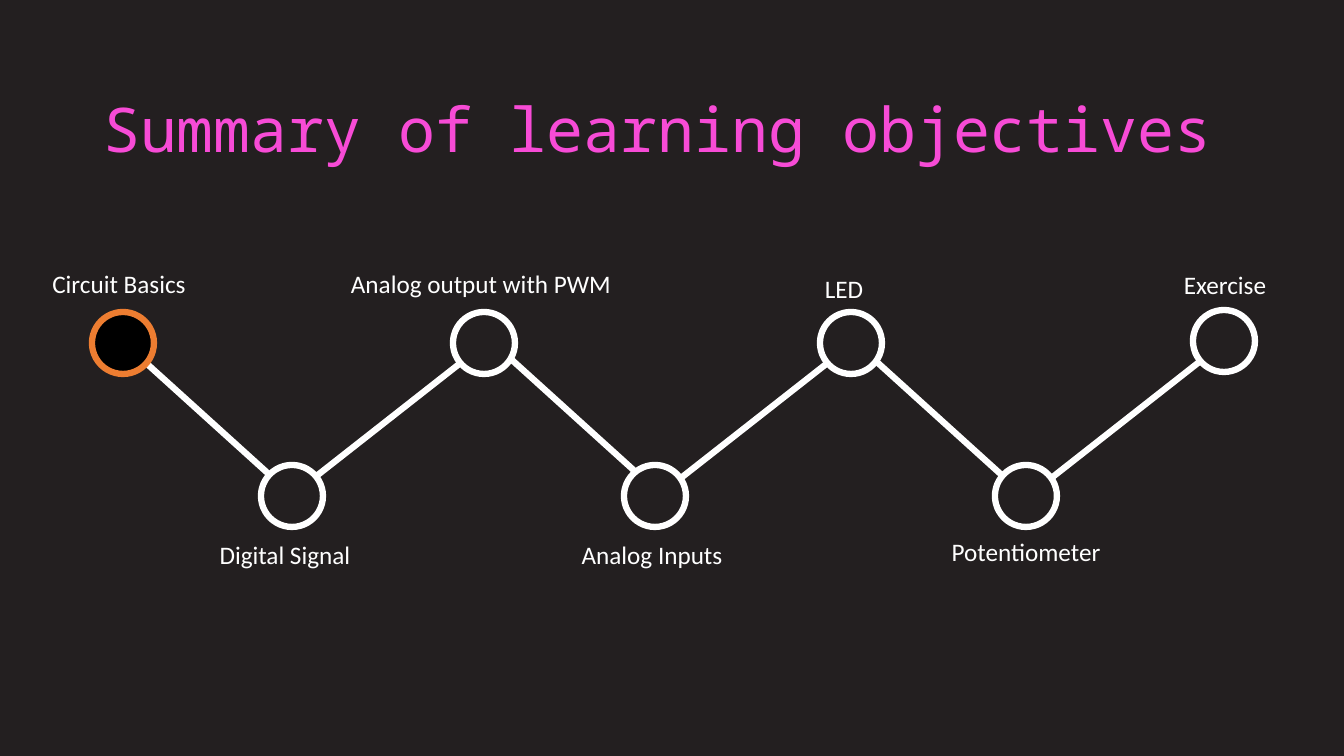
from lxml import etree
from pptx import Presentation
from pptx.dml.color import RGBColor
from pptx.enum.shapes import MSO_CONNECTOR, MSO_SHAPE
from pptx.enum.text import MSO_ANCHOR, PP_ALIGN
from pptx.oxml.ns import qn
from pptx.util import Pt

STRAIGHT = MSO_CONNECTOR.STRAIGHT
OVAL = MSO_SHAPE.OVAL
MIDDLE = MSO_ANCHOR.MIDDLE
CENTER, LEFT = PP_ALIGN.CENTER, PP_ALIGN.LEFT

SLIDE_W, SLIDE_H = 1344, 756
EMU_PER_PX = 12192000 / SLIDE_W
COLOURS = {
    "background": "231F20",
    "title": "F74BD6",
    "white": "FFFFFF",
    "current": "000000",
    "highlight": "ED7D31",
}
TITLE_BOX = (93, 72, 1159, 121)
ROADMAP_BOX = (0, 263, 1344, 311)

DIAMETER = 62
STROKE = Pt(4.5)
LABEL_W, LABEL_H = 323, 40
DOWNWARD, UPWARD = (169, 153), (195, -153)

# Objective, circle centre, label centre and label top, all within the roadmap box
OBJECTIVES = [
    ("Circuit Basics", (123, 80), 119, 0),
    ("Digital Signal", (292, 233), 285, 271),
    ("Analog output with PWM", (484, 80), 481, 0),
    ("Analog Inputs", (655, 233), 652, 271),
    ("LED", (851, 80), 844, 5),
    ("Potentiometer", (1026, 233), 1026, 268),
    ("Exercise", (1224, 78), 1225, 1),
]
LINK_STARTS = [(124, 80), (291, 233), (512, 97), (658, 233), (857, 81), (1031, 231)]


def px(*lengths):
    """Turn pixel lengths into EMU."""
    return [round(length * EMU_PER_PX) for length in lengths]


def colour(name):
    """Look up a named colour."""
    return RGBColor.from_string(COLOURS[name])


def format_text(frame, font_name, size, colour_name, alignment):
    """Format the only paragraph of a text frame."""
    paragraph = frame.paragraphs[0]
    paragraph.alignment = alignment
    font = paragraph.runs[0].font
    font.name = font_name
    font.size = Pt(size)
    font.color.rgb = colour(colour_name)


def place_title(slide, box):
    """Fill and place the slide title."""
    title = slide.shapes.title
    title.left, title.top, title.width, title.height = px(*box)
    frame = title.text_frame
    frame.text = "Summary of learning objectives"
    frame.vertical_anchor = MIDDLE
    frame.paragraphs[0].line_spacing = 0.9
    format_text(frame, "Noto Sans Mono", 44, "title", LEFT)


def draw_link(slide, x, y, step):
    """Draw the line from one objective towards the next."""
    link = slide.shapes.add_connector(STRAIGHT, *px(x, y, x + step[0], y + step[1]))
    link.line.color.rgb = colour("white")
    link.line.width = STROKE
    etree.SubElement(link._element.spPr, qn("a:effectLst"))


def draw_stop(slide, x, y, fill, outline):
    """Draw the circle of an objective around its centre."""
    radius = DIAMETER / 2
    stop = slide.shapes.add_shape(OVAL, *px(x - radius, y - radius, DIAMETER, DIAMETER))
    stop.shadow.inherit = False
    stop.fill.solid()
    stop.fill.fore_color.rgb = colour(fill)
    stop.line.color.rgb = colour(outline)
    stop.line.width = STROKE


def draw_label(slide, text, centre, top):
    """Write the name of an objective."""
    label = slide.shapes.add_textbox(*px(centre - LABEL_W / 2, top, LABEL_W, LABEL_H))
    frame = label.text_frame
    frame.word_wrap = True
    frame.text = text
    format_text(frame, "Calibri", 18, "white", CENTER)


def draw_roadmap(slide, box):
    """Draw the zigzag of objectives, the first one highlighted."""
    left, top = box[:2]
    for index, (x, y) in enumerate(LINK_STARTS):
        draw_link(slide, left + x, top + y, UPWARD if index % 2 else DOWNWARD)
    for index, (name, (x, y), label_x, label_y) in enumerate(OBJECTIVES):
        fill, outline = ("background", "white") if index else ("current", "highlight")
        draw_stop(slide, left + x, top + y, fill, outline)
        draw_label(slide, name, left + label_x, top + label_y)


def main():
    """Build and save the slide."""
    deck = Presentation()
    deck.slide_width, deck.slide_height = px(SLIDE_W, SLIDE_H)
    slide = deck.slides.add_slide(deck.slide_layouts[5])
    slide.background.fill.solid()
    slide.background.fill.fore_color.rgb = colour("background")
    place_title(slide, TITLE_BOX)
    draw_roadmap(slide, ROADMAP_BOX)
    deck.save("out.pptx")


if __name__ == "__main__":
    main()
